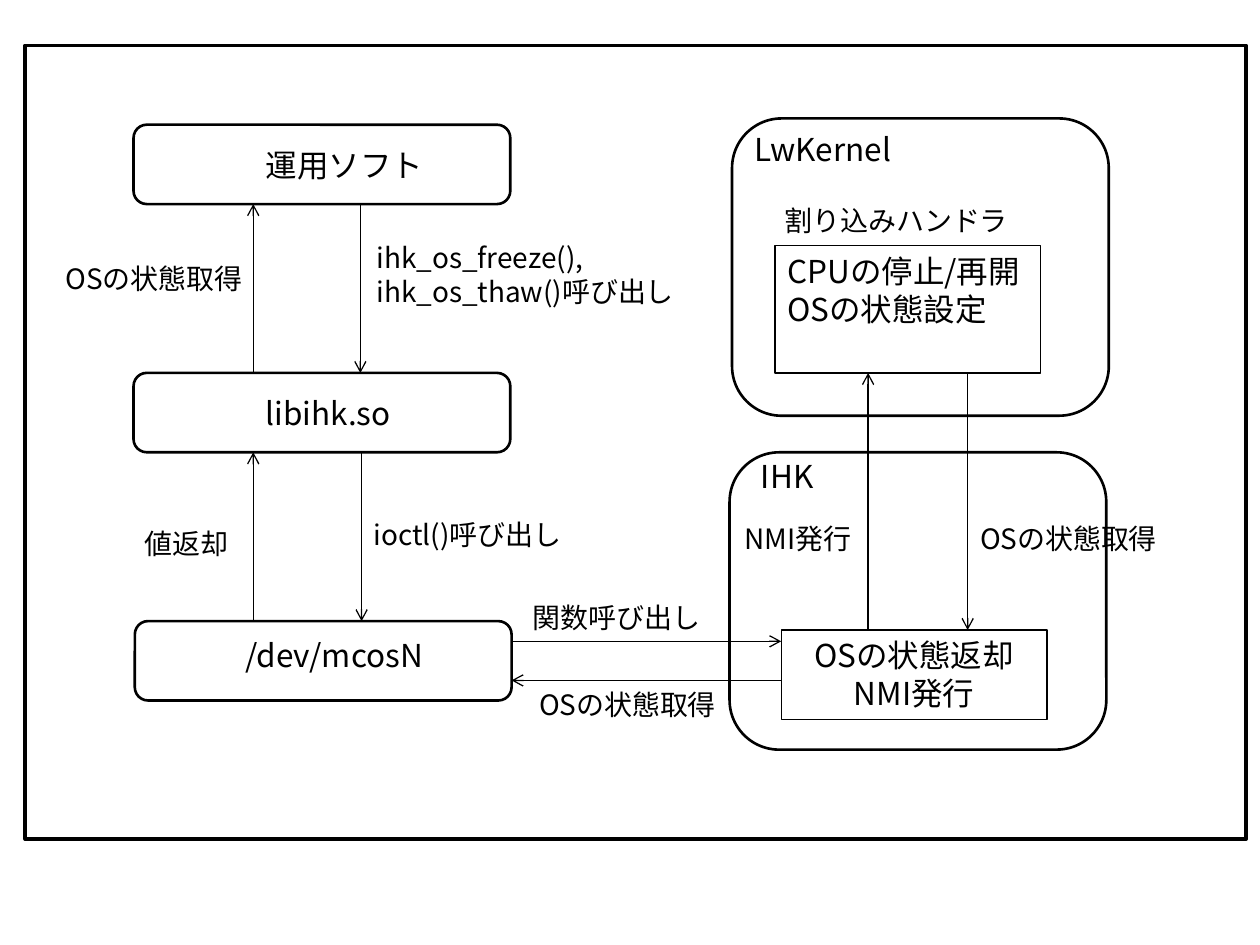
from lxml import etree
from pptx import Presentation, util as u
from pptx.dml import color
from pptx.enum import shapes, text
from pptx.oxml import ns

COLORS = {"ink": "000000"}
FONT = "Noto Sans CJK JP"
COLS, ROWS = 100, 75
LABEL, TITLE = 16, 18
LABEL_H, TITLE_H = 3.7, 4
LAYER_W, LAYER_H = 29.9, 6.3
PANEL_W, PANEL_H = 29.9, 23.6
INNER_W = 21.1

prs = Presentation()
prs.slide_width, prs.slide_height = u.Inches(10), u.Inches(7.5)
s = prs.slides.add_slide(prs.slide_layouts[6])


def grid(*cells):
    """Turn alternating columns and rows into slide lengths."""
    steps = (prs.slide_width / COLS, prs.slide_height / ROWS)
    return [u.Emu(round(c * steps[i % 2])) for i, c in enumerate(cells)]


def ink():
    """Return the drawing colour."""
    return color.RGBColor.from_string(COLORS["ink"])


def outline(sp, width):
    """Give a shape or connector a solid line."""
    sp.line.color.rgb = ink()
    sp.line.width = u.Pt(width)


def write(sp, lines, size, align=text.PP_ALIGN.LEFT):
    """Write one paragraph per line; a newline breaks within it."""
    tf = sp.text_frame
    tf.word_wrap = True
    tf.auto_size = text.MSO_AUTO_SIZE.SHAPE_TO_FIT_TEXT
    tf.vertical_anchor = text.MSO_ANCHOR.TOP
    for i, line in enumerate(lines):
        p = tf.paragraphs[0] if i == 0 else tf.add_paragraph()
        p.alignment = align
        for j, part in enumerate(line.split("\n")):
            if j:
                p.add_line_break()
            r = p.add_run()
            r.text = part
            r.font.size, r.font.name = u.Pt(size), FONT
            r.font.color.rgb = ink()
            ea = etree.SubElement(r.font._element, ns.qn("a:ea"))
            ea.set("typeface", FONT)


def frame(x, y, w, h, width, rounded=False):
    """Draw an unfilled box."""
    kind = shapes.MSO_SHAPE.ROUNDED_RECTANGLE if rounded else shapes.MSO_SHAPE.RECTANGLE
    sp = s.shapes.add_shape(kind, *grid(x, y, w, h))
    sp.shadow.inherit = False
    sp.fill.background()
    outline(sp, width)
    return sp


def label(x, y, w, line, size=LABEL, h=LABEL_H):
    """Place a text box."""
    write(s.shapes.add_textbox(*grid(x, y, w, h)), [line], size)


def arrow(x1, y1, x2, y2):
    """Draw an open arrow towards the second point."""
    sp = s.shapes.add_connector(shapes.MSO_CONNECTOR.STRAIGHT, *grid(x1, y1, x2, y2))
    outline(sp, 0.75)
    etree.SubElement(sp.line._get_or_add_ln(), ns.qn("a:tailEnd")).set("type", "arrow")
    etree.SubElement(sp._element.spPr, ns.qn("a:effectLst"))


def layer(x, y, name, dx, dy):
    """Draw one software layer with its name offset inside."""
    frame(x, y, LAYER_W, LAYER_H, 1.5, rounded=True)
    label(x + dx, y + dy, 17.3, name, TITLE, TITLE_H)


def exchange(x, y, gap, length, up, down):
    """Draw an upward and a downward arrow with labels (dx, dy, w, text)."""
    arrow(x, y + length, x, y)
    arrow(x + gap, y, x + gap, y + length)
    for dx, dy, w, line, *h in (up, down):
        label(x + dx, y + dy, w, line, LABEL, *h)


def panel(x, y, name, name_box, inner, lines, align):
    """Draw a kernel panel with a name and an inner process box."""
    frame(x, y, PANEL_W, PANEL_H, 1.5, rounded=True)
    dx, dy, w = name_box
    label(x + dx, y + dy, w, name, TITLE, TITLE_H)
    dx, dy, h = inner
    write(frame(x + dx, y + dy, INNER_W, h, 0.75), lines, TITLE, align)


def user_side(x, y):
    """Stack the three layers and the calls between them."""
    pitch = 19.7
    gap = pitch - LAYER_H
    layer(x, y, "運用ソフト", 9.5, 1.2)
    layer(x, y + pitch, "libihk.so", 9.5, 1.2)
    layer(x + 0.1, y + 2 * pitch, "/dev/mcosN", 7.8, 0.7)
    exchange(x + 9.5, y + LAYER_H, 8.5, gap,
             (-15.9, 4.1, 17.5, "OSの状態取得"),
             (8.8, 2.4, 29, "ihk_os_freeze(),\nihk_os_thaw()呼び出し", 6.4))
    exchange(x + 9.5, y + pitch + LAYER_H, 8.6, gap,
             (-9.6, 5.4, 11.2, "値返却"),
             (8.6, 4.7, 19.3, "ioctl()呼び出し"))


def kernel_side(x, y):
    """Place both kernel panels and the traffic between them."""
    panel(x, y + 26.5, "IHK", (1.5, -0.1, 7.1), (4.1, 14.1, 7.1),
          ["OSの状態返却", "NMI発行"], text.PP_ALIGN.CENTER)
    panel(x + 0.2, y, "LwKernel", (0.8, 0.4, 13.2), (3.4, 10.1, 10.1),
          ["CPUの停止/再開", "OSの状態設定"], text.PP_ALIGN.LEFT)
    label(x + 3.4, y + 6.3, 21.3, "割り込みハンドラ")
    exchange(x + 11, y + 20.2, 7.9, 20.4,
             (-10.8, 11.3, 11.5, "NMI発行"),
             (7.9, 11.3, 16.5, "OSの状態取得"))


def bridge(x, y, w):
    """Join the device to the kernel side in both directions."""
    arrow(x, y, x + w, y)
    arrow(x + w, y + 3.1, x, y + 3.1)
    label(x + 0.7, y - 3.7, 15.7, "関数呼び出し")
    label(x + 1.2, y + 3.2, 17.1, "OSの状態取得")


frame(2, 3.6, 96.9, 63, 2)
user_side(10.6, 9.9)
kernel_side(57.9, 9.4)
bridge(40.6, 50.9, 21.4)
prs.save("out.pptx")
